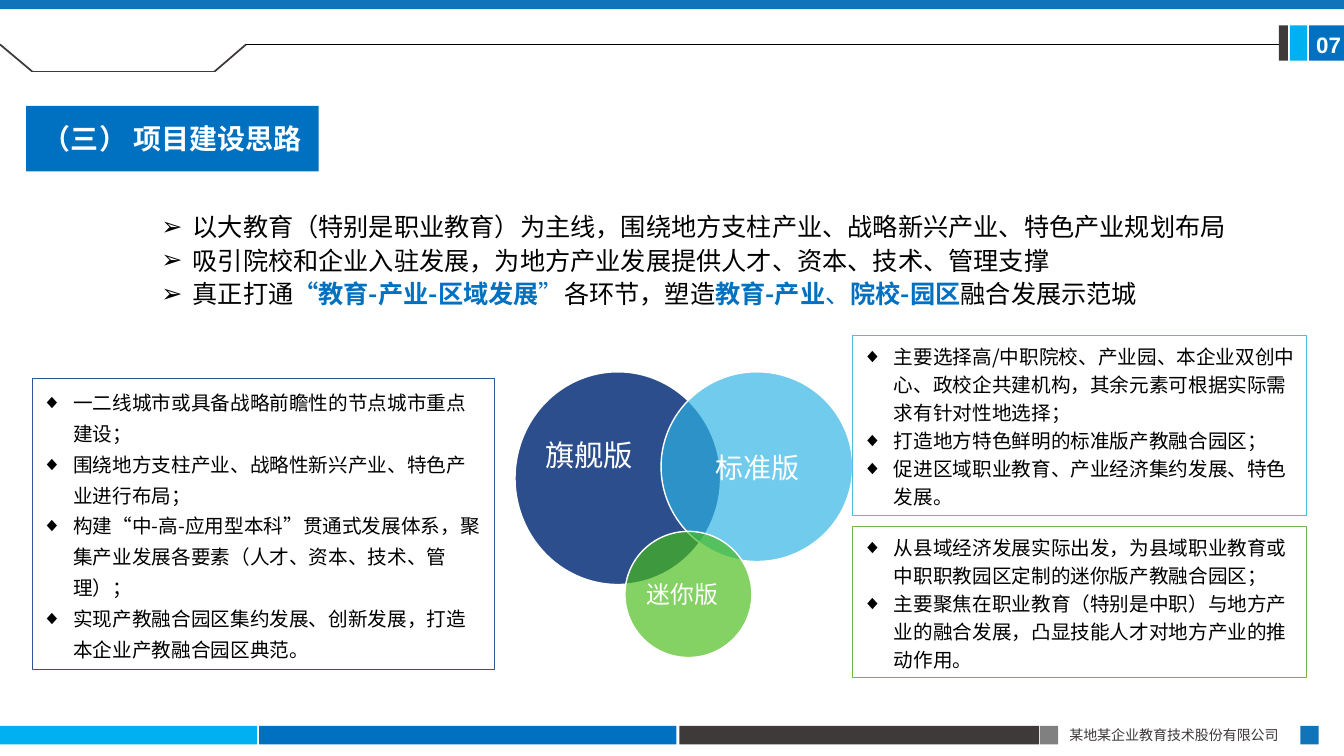
from lxml import etree
from pptx import Presentation
from pptx import util as u
from pptx.dml.color import RGBColor
from pptx.enum import shapes, text
from pptx.oxml.ns import qn

CJK = "Noto Sans CJK SC"
BLUE, SKY, DARK, BAR, WHITE, BLACK = "0070C0", "00B0F0", "3E3A39", "1074BB", "FFFFFF", "000000"
RECT, OVAL = shapes.MSO_SHAPE.RECTANGLE, shapes.MSO_SHAPE.OVAL

GOALS = [
    ["以大教育（特别是职业教育）为主线，围绕地方支柱产业、战略新兴产业、特色产业规划布局"],
    ["吸引院校和企业入驻发展，为地方产业发展提供人才、资本、技术、管理支撑"],
    ["真正打通", ("“教育-产业-区域发展", BLUE, True), ("”", BLUE, False), "各环节，塑造",
     ("教育-产业", BLUE, True), ("、", BLUE, False), ("院校-园区", BLUE, True), "融合发展示范城"],
]
FLAGSHIP = [
    ["一二线城市或具备战略前瞻性的节点城市重点建设；"],
    ["围绕地方支柱产业、战略性新兴产业、特色产业进行布局；"],
    ["构建“中-高-应用型本科”贯通式发展体系，聚集产业发展各要素（人才、资本、技术、管理）；"],
    ["实现产教融合园区集约发展、创新发展，打造本企业产教融合园区典范。"],
]
STANDARD = [
    ["主要选择高/中职院校、产业园、本企业双创中心、政校企共建机构，其余元素可根据实际需求有针对性地选择；"],
    ["打造地方特色鲜明的标准版产教融合园区；"],
    ["促进区域职业教育、产业经济集约发展、特色发展。"],
]
MINI = [
    ["从县域经济发展实际出发，为县域职业教育或中职职教园区定制的迷你版产教融合园区；"],
    ["主要聚焦在职业教育（特别是中职）与地方产业的融合发展，凸显技能人才对地方产业的推动作用。"],
]


def rgb(value):
    """Turn a hex string into a colour."""
    return RGBColor.from_string(value)


def apply(obj, values):
    """Set every attribute named in a dict."""
    for name, value in values.items():
        setattr(obj, name, value)


def cm(*lengths):
    """Convert several lengths from centimetres."""
    return [u.Cm(n) for n in lengths]


def add_run(p, words, size, color, bold=False, font=CJK):
    """Append a formatted run to a paragraph."""
    r = p.add_run()
    r.text = words
    apply(r.font, {"size": u.Pt(size), "bold": bold, "name": font})
    r.font.color.rgb = rgb(color)
    etree.SubElement(r.font._element, qn("a:ea"), typeface=CJK)


def add_box(s, kind, x, y, w, h, fill=None, line=None, width=1.0, alpha=None):
    """Draw a preset shape with optional fill, outline and opacity."""
    sp = s.shapes.add_shape(kind, *cm(x, y, w, h))
    sp.shadow.inherit = False
    if fill:
        sp.fill.solid()
        sp.fill.fore_color.rgb = rgb(fill)
    else:
        sp.fill.background()
    if alpha:
        color = sp.fill._xPr.find(".//" + qn("a:srgbClr"))
        etree.SubElement(color, qn("a:alpha"), val=str(alpha * 1000))
    if line:
        sp.line.color.rgb = rgb(line)
        sp.line.width = u.Pt(width)
    else:
        sp.line.fill.background()
    return sp


def add_label(s, x, y, w, h, words, size, color, wrap=False, **fmt):
    """Place a single-line text box."""
    tf = s.shapes.add_textbox(*cm(x, y, w, h)).text_frame
    tf.word_wrap = wrap
    add_run(tf.paragraphs[0], words, size, color, **fmt)
    return tf.paragraphs[0]


def fill_list(tf, items, size, spacing, bullet):
    """Write bulleted paragraphs made of plain or highlighted parts."""
    apply(tf, {"word_wrap": True, "auto_size": text.MSO_AUTO_SIZE.NONE,
               "vertical_anchor": text.MSO_ANCHOR.TOP})
    for i, parts in enumerate(items):
        p = tf.add_paragraph() if i else tf.paragraphs[0]
        pPr = p._p.get_or_add_pPr()
        pPr.set("marL", str(u.Cm(0.79)))
        pPr.set("indent", str(u.Cm(-0.79)))
        etree.SubElement(pPr, qn("a:buFont"), typeface="Arial")
        etree.SubElement(pPr, qn("a:buChar"), char=bullet)
        apply(p, {"alignment": text.PP_ALIGN.LEFT, "line_spacing": u.Pt(spacing),
                  "space_before": u.Pt(0), "space_after": u.Pt(0)})
        for part in parts:
            words, color, bold = (part, BLACK, False) if isinstance(part, str) else part
            add_run(p, words, size, color, bold)


def add_header(s, x, y, w):
    """Draw the top bar, the stepped rule and the page number."""
    add_box(s, RECT, x, y, w, 0.23, BAR)
    points = [(0, 1.12), (0.81, 1.8), (5.41, 1.8), (6.2, 1.12), (32.31, 1.12)]
    styles = [(DARK, 1.25)] * 3 + [(BLACK, 0.5)]
    for (x1, y1), (x2, y2), (color, width) in zip(points, points[1:], styles):
        line = s.shapes.add_connector(shapes.MSO_CONNECTOR.STRAIGHT,
                                      *cm(x + x1, y + y1, x + x2, y + y2))
        line.line.color.rgb = rgb(color)
        line.line.width = u.Pt(width)
        etree.SubElement(line._element.spPr, qn("a:effectLst"))
    for left, width, color in [(32.99, 0.88, BLUE), (32.51, 0.43, SKY), (32.23, 0.23, DARK)]:
        add_box(s, RECT, x + left, y + 0.64, width, 0.89, color)
    add_label(s, x + 32.92, y + 0.66, 1.27, 0.94, "07", 16, WHITE, bold=True, font="Arial")


def add_footer(s, x, y, h):
    """Draw the footer strip with the organisation name."""
    strips = [(0, 6.48, SKY), (6.53, 10.52, BLUE), (17.12, 9.07, DARK),
              (26.21, 0.46, "808080"), (32.77, 0.46, BAR)]
    for left, width, color in strips:
        add_box(s, RECT, x + left, y, width, h, color)
    p = add_label(s, x + 26.7, y - 0.1, 6.1, 0.69, "某地某企业教育技术股份有限公司", 10, DARK, wrap=True)
    p.alignment = text.PP_ALIGN.JUSTIFY


def add_title(s, x, y, w, h):
    """Format the title placeholder as a blue banner."""
    sp = s.shapes.title
    apply(sp, dict(zip(("left", "top", "width", "height"), cm(x, y, w, h))))
    sp.fill.solid()
    sp.fill.fore_color.rgb = rgb(BLUE)
    apply(sp.text_frame, {"vertical_anchor": text.MSO_ANCHOR.MIDDLE, "word_wrap": True,
                          "auto_size": text.MSO_AUTO_SIZE.NONE})
    p = sp.text_frame.paragraphs[0]
    p.alignment = text.PP_ALIGN.CENTER
    for words, font in [("（三）", "Calibri"), (" 项目", CJK), ("建设思路", "Calibri")]:
        add_run(p, words, 20, WHITE, True, font)


def add_goals(s, x, y, w, h):
    """Put the guiding goals in the body placeholder."""
    sp = s.placeholders[1]
    apply(sp, dict(zip(("left", "top", "width", "height"), cm(x, y, w, h))))
    fill_list(sp.text_frame, GOALS, 18, 24, "➢")


def add_venn(s, x, y):
    """Draw three overlapping circles and their labels."""
    circles = [(0, 0, 5.18, 5.36, "2C4E8C", None), (3.68, 0, 4.83, 4.78, "2DB3E3", 68),
               (2.77, 4.02, 3.2, 3.18, "48BD19", 67)]
    for left, top, w, h, color, alpha in circles:
        add_box(s, OVAL, x + left, y + top, w, h, color, WHITE, alpha=alpha)
    labels = [(0.51, 1.53, "旗舰版", 21), (3.07, 5.11, "迷你版", 17), (4.8, 1.86, "标准版", 20)]
    for left, top, words, size in labels:
        add_label(s, x + left, y + top, 3.02, 1.12, words, size, WHITE)


def add_card(s, x, y, w, h, items, color, spacing):
    """Draw an outlined card with a bulleted list."""
    sp = add_box(s, RECT, x, y, w, h, line=color, width=0.75)
    fill_list(sp.text_frame, items, 14, spacing, "◆")


def main():
    """Build the slide and save it."""
    prs = Presentation()
    prs.slide_width, prs.slide_height = cm(33.87, 19.05)
    s = prs.slides.add_slide(prs.slide_layouts[1])
    add_footer(s, 0, 18.29, 0.47)
    add_header(s, 0, 0, 33.87)
    add_title(s, 0.66, 2.67, 7.37, 1.65)
    add_goals(s, 3.81, 5.11, 27.61, 2.82)
    add_venn(s, 12.98, 9.37)
    add_card(s, 0.81, 9.55, 11.66, 7.32, FLAGSHIP, "2F5597", 22)
    add_card(s, 21.49, 8.46, 11.43, 4.52, STANDARD, "51BADF", 20)
    add_card(s, 21.49, 13.26, 11.43, 3.81, MINI, "75B44A", 20)
    prs.save("out.pptx")


if __name__ == "__main__":
    main()
